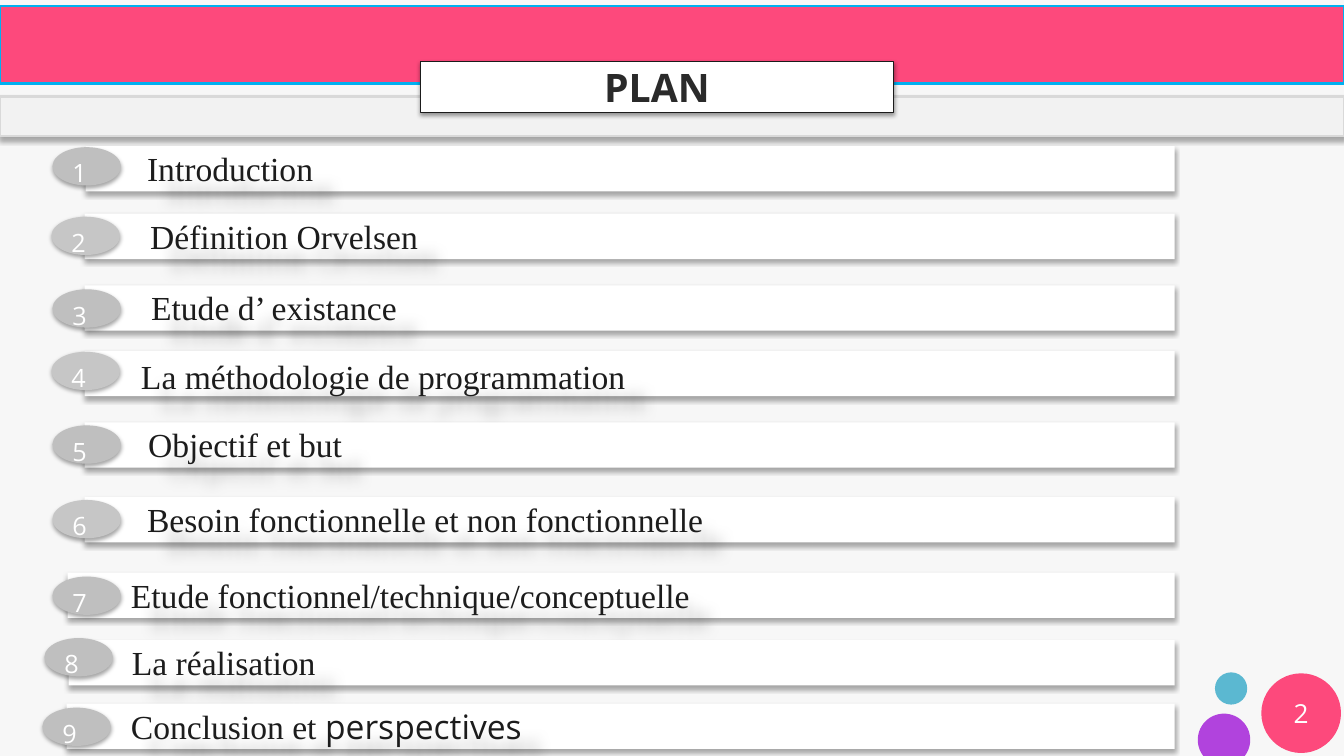
from dataclasses import dataclass
from math import asin, cos, pi, sin

from lxml.etree import SubElement
from pptx import Presentation
from pptx.dml.color import RGBColor
from pptx.enum.shapes import MSO_SHAPE
from pptx.enum.text import MSO_ANCHOR, MSO_AUTO_SIZE, PP_ALIGN
from pptx.oxml.ns import qn
from pptx.util import Inches, Pt

COLORS = {
    "background": "F7F7F7", "white": "FFFFFF", "black": "000000",
    "pink": "FD497C", "blue": "00B0F0", "teal": "5BB8D1", "purple": "B143DD",
    "band": "F2F2F2", "band_line": "D9D9D9", "title": "2A2A2A",
    "title_line": "1B1B1B", "label": "1C1C1C",
    "badge_odd": "BFBFBF", "badge_even": "C6C6C6",
}
SERIF, SANS = "Times New Roman", "Open Sans"
SLIDE_WIDTH, SLIDE_HEIGHT = 13.33, 7.5
BAR_RIGHT, LABEL_RIGHT = 11.65, 10.91


@dataclass
class Shadow:
    opacity: int
    blur: float
    distance: float
    angle: int = 90


@dataclass
class PlanItem:
    text: str
    bar_left: float
    bar_top: float
    label_left: float
    badge_left: float
    badge_top: float
    label_shift: float = -0.03
    badge_color: str = "badge_odd"
    sans_text: str = ""


BAR_SHADOW = Shadow(32, 3.5, 2.2)
BADGE_SHADOW = Shadow(35, 3.1, 1.8)
TITLE_SHADOW = Shadow(38, 3.1, 1.6)
LABEL_SHADOW = Shadow(28, 10, 20, 45)

PLAN = [
    PlanItem("Introduction", 0.85, 1.45, 1.36, 0.52, 1.46),
    PlanItem("Définition Orvelsen", 0.84, 2.12, 1.39, 0.51, 2.15, badge_color="badge_even"),
    PlanItem("Etude d’ existance", 0.84, 2.83, 1.4, 0.52, 2.87),
    PlanItem("La méthodologie de programmation", 0.84, 3.48, 1.3, 0.51, 3.49,
             label_shift=0, badge_color="badge_even"),
    PlanItem("Objectif et but", 0.84, 4.19, 1.37, 0.52, 4.22),
    PlanItem("Besoin fonctionnelle et non fonctionnelle", 0.84, 4.93, 1.36, 0.52, 4.96,
             badge_color="badge_even"),
    PlanItem("Etude fonctionnel/technique/conceptuelle", 0.67, 5.68, 1.2, 0.52, 5.72),
    PlanItem("La réalisation", 0.68, 6.35, 1.21, 0.44, 6.33),
    PlanItem("Conclusion et ", 0.66, 6.98, 1.2, 0.42, 7.02, sans_text="perspectives"),
]


def rgb(name: str) -> RGBColor:
    return RGBColor.from_string(COLORS[name])


def add_shadow(shape, shadow: Shadow) -> None:
    shape.shadow.inherit = False
    effects = shape._element.spPr.find(qn("a:effectLst"))
    outer = SubElement(effects, qn("a:outerShdw"), blurRad=str(Pt(shadow.blur)),
                       dist=str(Pt(shadow.distance)), dir=str(shadow.angle * 60000),
                       algn="tl", rotWithShape="0")
    color = SubElement(outer, qn("a:srgbClr"), val=COLORS["black"])
    SubElement(color, qn("a:alpha"), val=str(shadow.opacity * 1000))


def paint(shape, fill: str, line: str = "", line_width: float = 2,
          shadow: Shadow | None = None) -> None:
    shape.fill.solid()
    shape.fill.fore_color.rgb = rgb(fill)
    if line:
        shape.line.color.rgb = rgb(line)
        shape.line.width = Pt(line_width)
    else:
        shape.line.fill.background()
    shape.shadow.inherit = False
    if shadow:
        add_shadow(shape, shadow)


def add_box(slide, kind: MSO_SHAPE, left: float, top: float, width: float,
            height: float, fill: str, **style):
    shape = slide.shapes.add_shape(kind, Inches(left), Inches(top), Inches(width), Inches(height))
    paint(shape, fill, **style)
    return shape


def write_text(shape, text: str, *, size: float, color: str, font: str = SANS,
               bold: bool = False, align: PP_ALIGN = PP_ALIGN.LEFT,
               anchor: MSO_ANCHOR = MSO_ANCHOR.TOP) -> None:
    frame = shape.text_frame
    frame.word_wrap = True
    frame.vertical_anchor = anchor
    paragraph = frame.paragraphs[0]
    paragraph.alignment = align
    run = paragraph.add_run()
    run.text = text
    run.font.name = font
    run.font.size = Pt(size)
    run.font.bold = bold
    run.font.color.rgb = rgb(color)


def add_purple_circle(slide) -> None:
    center_x, center_y, radius, steps = 12.14, 7.34, 0.26, 60
    cut = asin((SLIDE_HEIGHT - center_y) / radius)
    angles = [pi - cut + (pi + 2 * cut) * step / steps for step in range(steps + 1)]
    points = [(Inches(center_x + radius * cos(angle)), Inches(center_y + radius * sin(angle)))
              for angle in angles]
    builder = slide.shapes.build_freeform(*points[0])
    builder.add_line_segments(points[1:], close=True)
    paint(builder.convert_to_shape(), "purple")


def add_title(slide) -> None:
    title = slide.shapes.title
    tree = title._element.getparent()
    tree.append(title._element)
    title.left, title.top = Inches(4.17), Inches(0.61)
    title.width, title.height = Inches(4.69), Inches(0.51)
    geometry = SubElement(title._element.spPr, qn("a:prstGeom"), prst="flowChartAlternateProcess")
    SubElement(geometry, qn("a:avLst"))
    paint(title, "white", line="title_line", line_width=0.75, shadow=TITLE_SHADOW)
    title.text_frame.auto_size = MSO_AUTO_SIZE.NONE
    write_text(title, "PLAN", size=28, color="title", bold=True,
               align=PP_ALIGN.CENTER, anchor=MSO_ANCHOR.MIDDLE)


def add_plan_item(slide, number: int, item: PlanItem) -> None:
    add_box(slide, MSO_SHAPE.RECTANGLE, item.bar_left, item.bar_top,
            BAR_RIGHT - item.bar_left, 0.45, "white", shadow=BAR_SHADOW)
    label = slide.shapes.add_textbox(
        Inches(item.label_left), Inches(item.bar_top + item.label_shift),
        Inches(LABEL_RIGHT - item.label_left), Inches(0.48))
    add_shadow(label, LABEL_SHADOW)
    write_text(label, item.text, size=24, color="label", font=SERIF)
    if item.sans_text:
        write_text(label, item.sans_text, size=24, color="label")
    badge = add_box(slide, MSO_SHAPE.OVAL, item.badge_left, item.badge_top, 0.68, 0.38,
                    item.badge_color, shadow=BADGE_SHADOW)
    write_text(badge, str(number), size=18, color="white")


def main() -> None:
    presentation = Presentation()
    presentation.slide_width = Inches(SLIDE_WIDTH)
    presentation.slide_height = Inches(SLIDE_HEIGHT)
    slide = presentation.slides.add_slide(presentation.slide_layouts[5])
    slide.background.fill.solid()
    slide.background.fill.fore_color.rgb = rgb("background")

    add_box(slide, MSO_SHAPE.OVAL, 12.05, 6.67, 0.32, 0.32, "teal")
    page_circle = add_box(slide, MSO_SHAPE.OVAL, 12.51, 6.68, 0.79, 0.79, "pink")
    write_text(page_circle, "2", size=18.7, color="white",
               align=PP_ALIGN.CENTER, anchor=MSO_ANCHOR.MIDDLE)
    add_purple_circle(slide)
    add_box(slide, MSO_SHAPE.RECTANGLE, 0, 0.96, SLIDE_WIDTH, 0.39, "band",
            line="band_line", shadow=BAR_SHADOW)
    add_box(slide, MSO_SHAPE.RECTANGLE, 0, 0.06, SLIDE_WIDTH, 0.77, "pink", line="blue")
    add_title(slide)
    for number, item in enumerate(PLAN, start=1):
        add_plan_item(slide, number, item)
    presentation.save("out.pptx")


if __name__ == "__main__":
    main()
